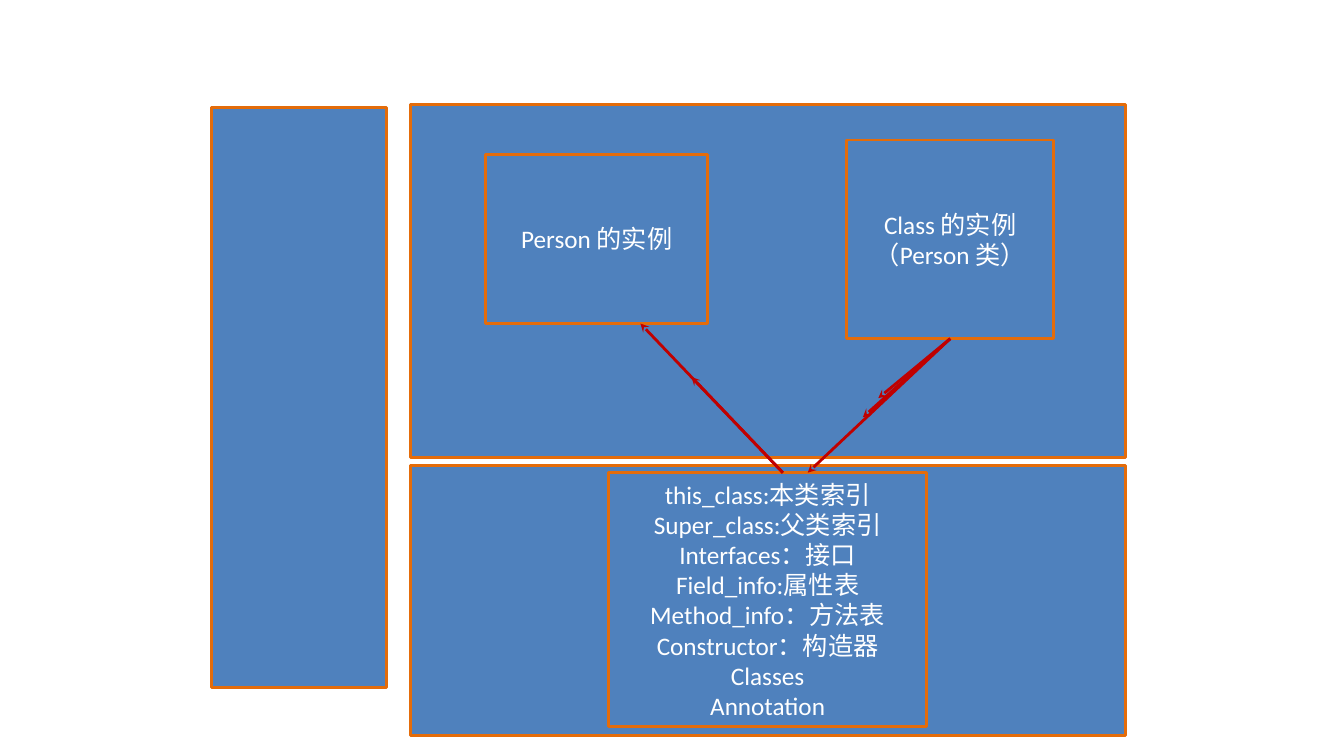
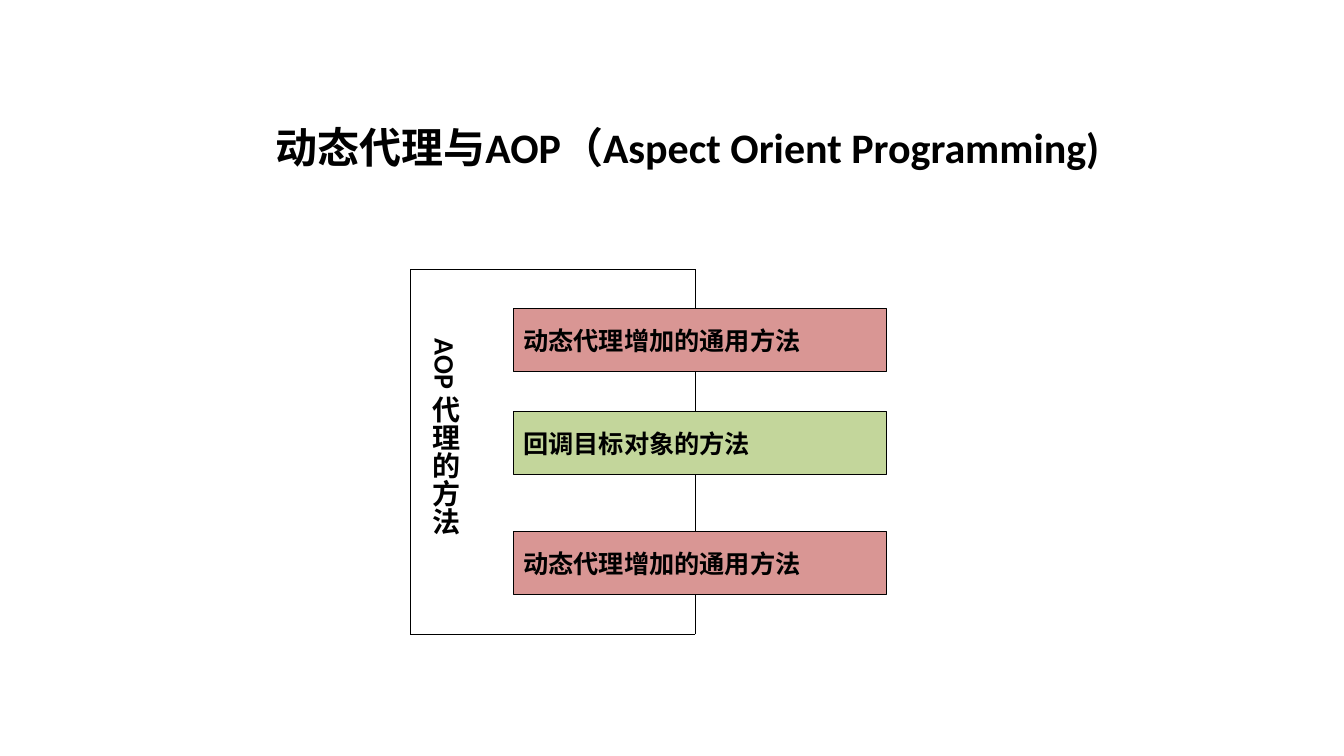
from dataclasses import dataclass
from lxml.etree import SubElement as Sub
from pptx import Presentation as Deck
from pptx.dml.color import RGBColor as Rgb
from pptx.enum.shapes import MSO_CONNECTOR as Conn, MSO_SHAPE as Form
from pptx.enum.text import MSO_ANCHOR as Anchor, MSO_AUTO_SIZE as Fit, PP_ALIGN as Align
from pptx.oxml.ns import qn
from pptx.util import Inches, Pt


@dataclass(frozen=True)
class Theme:
    font: str = "Calibri"
    white: str = "FFFFFF"
    black: str = "000000"
    blue: str = "4F81BD"
    orange: str = "E46C0A"
    red: str = "C00000"
    rose: str = "D99694"
    green: str = "C3D69B"
    head: int = 30
    side: int = 20
    body: int = 18
    thick: float = 2
    thin: float = 0.75
    hang: float = 0.38


class Board:
    def __init__(self, theme):
        self.theme = theme
        self.deck = Deck()
        self.deck.slide_width = Inches(13.33)
        self.deck.slide_height = Inches(7.5)

    def page(self):
        self.slide = self.deck.slides.add_slide(self.deck.slide_layouts[6])

    def place(self, *shares):
        full = self.deck.slide_width, self.deck.slide_height
        return [round(full[i % 2] * s / 100) for i, s in enumerate(shares)]

    def fill_text(self, frame, lines, size, color, bold=False, align=Align.LEFT, hang=False):
        for i, line in enumerate(lines):
            para = frame.add_paragraph() if i else frame.paragraphs[0]
            para.text = line
            para.alignment = align
            font = para.font
            font.name, font.size, font.bold = self.theme.font, Pt(size), bold
            font.color.rgb = Rgb.from_string(color)
            if hang:
                props = para._p.get_or_add_pPr()
                props.set("marL", str(Inches(self.theme.hang)))
                props.set("indent", str(-Inches(self.theme.hang)))

    def box(self, area, fill, edge, width):
        box = self.slide.shapes.add_shape(Form.RECTANGLE, *self.place(*area))
        box.shadow.inherit = False
        box.fill.solid()
        box.fill.fore_color.rgb = Rgb.from_string(fill)
        box.line.color.rgb = Rgb.from_string(edge)
        box.line.width = Pt(width)
        box.text_frame.vertical_anchor = Anchor.MIDDLE
        return box.text_frame

    def block(self, area, *lines):
        t = self.theme
        frame = self.box(area, t.blue, t.orange, t.thick)
        self.fill_text(frame, lines, t.body, t.white, align=Align.CENTER)

    def bar(self, area, fill, text):
        t = self.theme
        frame = self.box(area, fill, t.black, t.thin)
        frame.word_wrap = False
        self.fill_text(frame, [text], t.body, t.black, bold=True, hang=True)

    def label(self, area, text, size, hang=False):
        frame = self.slide.shapes.add_textbox(*self.place(*area)).text_frame
        frame.word_wrap = True
        frame.auto_size = Fit.SHAPE_TO_FIT_TEXT
        self.fill_text(frame, [text], size, self.theme.black, bold=True, hang=hang)
        return frame

    def tall(self, area, text):
        frame = self.label(area, text, self.theme.side, hang=True)
        frame._txBody.bodyPr.set("vert", "eaVert")
        frame.paragraphs[0].space_before = Pt(self.theme.side / 2)

    def line(self, start, end, color=None, width=None):
        line = self.slide.shapes.add_connector(Conn.STRAIGHT, *self.place(*start, *end))
        line.line.color.rgb = Rgb.from_string(color or self.theme.black)
        line.line.width = Pt(width or self.theme.thin)
        Sub(line._element.spPr, qn("a:effectLst"))
        return line

    def arrow(self, start, end):
        line = self.line(start, end, self.theme.red, self.theme.thick)
        Sub(line.line._get_or_add_ln(), qn("a:tailEnd"), type="stealth")


def memory(board):
    board.page()
    board.block((15.75, 14.27, 12.98, 76.67))
    board.block((30.53, 13.87, 53.2, 46.67))
    board.block((30.53, 61.6, 53.2, 35.73))
    board.block((45.3, 62.53, 23.63, 33.6),
                "this_class:本类索引", "Super_class:父类索引", "Interfaces：接口",
                "Field_info:属性表", "Method_info：方法表", "Constructor：构造器",
                "Classes", "Annotation")
    board.block((63, 18.53, 15.4, 26.27), "Class 的实例", "（Person 类）")
    board.block((36.15, 20.4, 16.5, 22.4), "Person 的实例")
    for end in (60.1, 62.53), (64.2, 55.2), (65.35, 52.67):
        board.arrow((70.7, 44.8), end)
    for end in (47.65, 42.8), (51.45, 49.87):
        board.arrow((58.25, 62.53), end)


def proxy(board):
    t = board.theme
    board.page()
    board.label((19.75, 15.47, 63.75, 8.13),
                "动态代理与AOP（Aspect Orient Programming)", t.head)
    left, right, top, base = 30.53, 51.75, 35.6, 83.87
    high = 8.4
    common = "动态代理增加的通用方法"
    bars = [(40.8, t.rose, common), (54.4, t.green, "回调目标对象的方法"),
            (70.27, t.rose, common)]
    start = top
    for y, fill, text in bars:
        board.bar((38.2, y, 27.75, high), fill, text)
        board.line((right, start), (right, y))
        start = y + high
    board.line((right, start), (right, base))
    for y in top, base:
        board.line((right, y), (left, y))
    board.line((left, top), (left, base))
    board.tall((30.75, 43.47, 4.05, 35.73), "AOP 代理的方法")


def main():
    board = Board(Theme())
    memory(board)
    proxy(board)
    board.deck.save("out.pptx")


if __name__ == "__main__":
    main()
